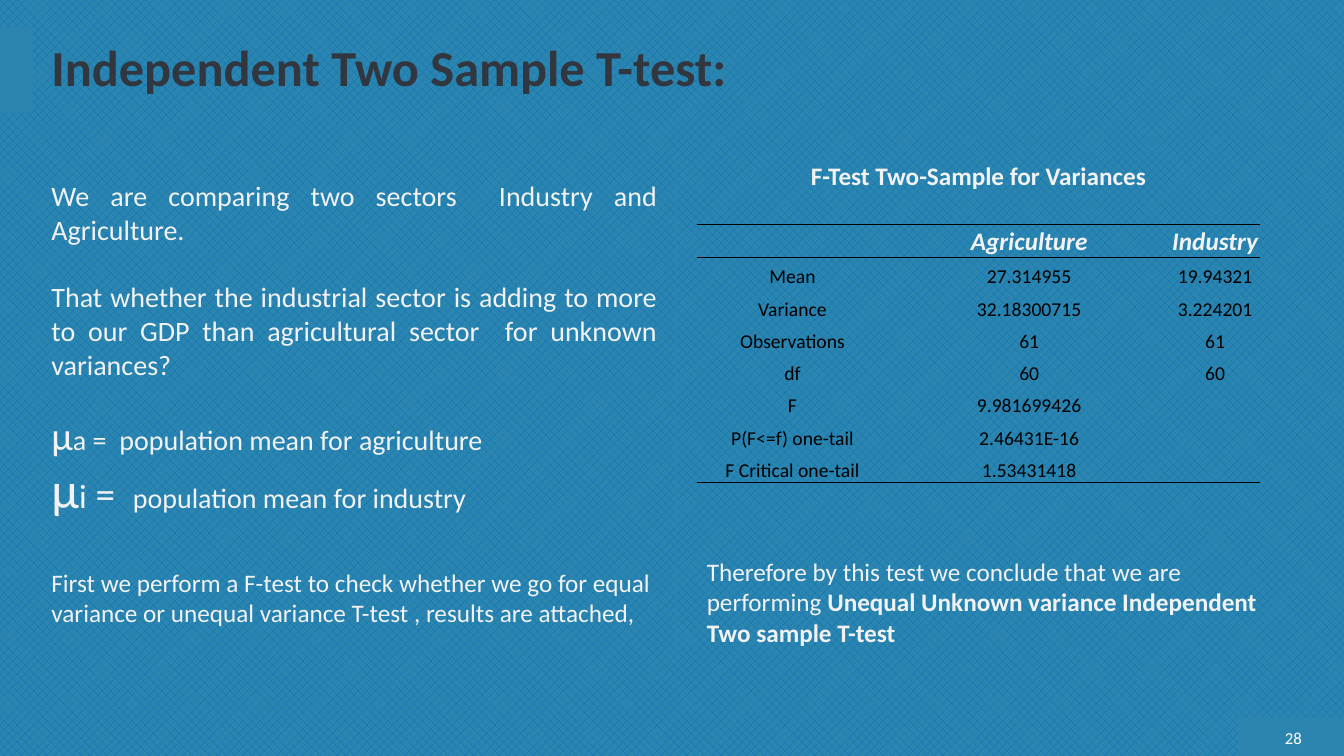
from dataclasses import dataclass

from lxml.etree import SubElement
from pptx import Presentation
from pptx.dml.color import RGBColor
from pptx.enum.dml import MSO_PATTERN
from pptx.enum.shapes import MSO_CONNECTOR, MSO_SHAPE
from pptx.enum.text import MSO_ANCHOR, MSO_AUTO_SIZE, PP_ALIGN
from pptx.oxml import parse_xml
from pptx.oxml.ns import nsdecls, qn
from pptx.util import Inches, Pt


@dataclass(frozen=True)
class Theme:
    face: str = "Calibri"
    panel: str = "2C85AE"
    weave: str = "0070C0"
    dark: str = "32363F"
    pale: str = "F2F2F2"
    white: str = "FFFFFF"
    black: str = "000000"
    title: int = 36
    lead: int = 20
    note: int = 18
    data: int = 14
    small: int = 12


THEME = Theme()
PLAIN_STYLE = "{2D5ABB26-0587-4C30-8999-92F81FD0307C}"

# Each paragraph: space before, alignment, runs of (text, size)
INTRO = [
    (0, PP_ALIGN.JUSTIFY, [("We are comparing two sectors  Industry and Agriculture.", THEME.lead)]),
    (24.4, PP_ALIGN.JUSTIFY, [("That whether the industrial sector is adding to more to our GDP "
                               "than agricultural sector  for unknown variances?", THEME.lead)]),
    (22, PP_ALIGN.LEFT, [("µ", 28), ("a =  population mean for agriculture", THEME.lead)]),
    (0, PP_ALIGN.LEFT, [("µ", 36), ("i", 24), (" =  ", 28),
                        ("population mean for industry", THEME.lead)]),
    (34.2, PP_ALIGN.LEFT, [("First we perform a F-test to check whether we go for equal variance "
                            "or unequal variance T-test , results are attached,", THEME.note)]),
]
ROWS = [
    ("F-Test Two-Sample for Variances", "", ""),
    ("", "", ""),
    ("", "Agriculture", "Industry"),
    ("Mean", "27.314955", "19.94321"),
    ("Variance", "32.18300715", "3.224201"),
    ("Observations", "61", "61"),
    ("df", "60", "60"),
    ("F", "9.981699426", ""),
    ("P(F<=f) one-tail", "2.46431E-16", ""),
    ("F Critical one-tail", "1.53431418", ""),
]
HEAD = 2
RULES = {1: 1, HEAD: 0.5, len(ROWS) - 1: 1}


def tint(code):
    return RGBColor.from_string(code)


def write(para, text, size=THEME.note, color=THEME.pale, bold=False, slant=False):
    run = para.add_run()
    run.text = text
    font = run.font
    font.name, font.size, font.bold, font.italic = THEME.face, Pt(size), bold, slant
    font.color.rgb = tint(color)


def place(shape, box):
    shape.left, shape.top, shape.width, shape.height = map(Inches, box)


def start(frame, anchor=MSO_ANCHOR.TOP):
    frame.word_wrap = True
    frame.auto_size = MSO_AUTO_SIZE.NONE
    frame.vertical_anchor = anchor
    return frame.paragraphs[0]


def flush(para, before=0, align=PP_ALIGN.LEFT):
    """Body paragraph with no bullet and no indent."""
    props = para._p.get_or_add_pPr()
    props.set("marL", "0")
    props.set("indent", "0")
    SubElement(props, qn("a:buNone"))
    para.space_before = Pt(before)
    para.alignment = align


def add_panel(slide, box):
    panel = slide.shapes.add_shape(MSO_SHAPE.RECTANGLE, *map(Inches, box))
    panel.shadow.inherit = False
    panel.fill.solid()
    panel.fill.fore_color.rgb = tint(THEME.panel)
    panel.line.fill.background()


def add_frame(slide, box):
    """Woven ground, edge panels and the centre rule."""
    left, top, width, height = box
    fill = slide.background.fill
    fill.patterned()
    fill.pattern = MSO_PATTERN.WEAVE
    fill.fore_color.rgb, fill.back_color.rgb = tint(THEME.weave), tint(THEME.panel)
    add_panel(slide, (left + width - 1.05, top + height - 0.38, 1.05, 0.38))
    add_panel(slide, (left, top + 0.28, 0.33, 0.83))
    mid = Inches(left + 6.7)
    rule = slide.shapes.add_connector(MSO_CONNECTOR.STRAIGHT, mid, Inches(top + 1.35),
                                      mid, Inches(top + 6.78))
    rule.line.color.rgb = tint(THEME.panel)
    rule.line.width = Pt(0.5)
    SubElement(rule._element.spPr, qn("a:effectLst"))


def add_title(slide, box):
    title = slide.shapes.title
    place(title, box)
    para = start(title.text_frame, MSO_ANCHOR.MIDDLE)
    para.alignment = PP_ALIGN.LEFT
    para.line_spacing = 0.9
    write(para, "Independent Two Sample T-test:", size=THEME.title, color=THEME.dark, bold=True)


def add_intro(slide, box):
    body = slide.placeholders[1]
    place(body, box)
    frame = body.text_frame
    para = start(frame)
    for i, (before, align, runs) in enumerate(INTRO):
        para = frame.add_paragraph() if i else para
        flush(para, before, align)
        for text, size in runs:
            write(para, text, size=size)


def add_rule(cell, width):
    line = parse_xml(f'<a:lnB {nsdecls("a")} w="{Pt(width)}"><a:solidFill>'
                     f'<a:srgbClr val="{THEME.black}"/></a:solidFill></a:lnB>')
    cell._tc.get_or_add_tcPr().insert(0, line)


def add_stats(slide, box):
    """Table of F-test results."""
    shape = slide.shapes.add_table(len(ROWS), 3, *map(Inches, box))
    table = shape.table
    table.first_row = table.horz_banding = False
    table._tbl.tblPr.find(qn("a:tableStyleId")).text = PLAIN_STYLE
    for col, share in zip(table.columns, (0.34, 0.5, 0.16)):
        col.width = Inches(box[2] * share)
    for r, row in enumerate(ROWS):
        table.rows[r].height = Inches(box[3] / len(ROWS))
        top = r <= HEAD
        look = dict(size=THEME.note if top else THEME.data,
                    color=THEME.pale if top else THEME.black, bold=top, slant=r == HEAD)
        for c, text in enumerate(row):
            cell = table.cell(r, c)
            cell.fill.background()
            cell.vertical_anchor = MSO_ANCHOR.BOTTOM
            cell.margin_left = cell.margin_right = cell.margin_top = Inches(0.01)
            cell.margin_bottom = 0
            para = cell.text_frame.paragraphs[0]
            para.alignment = PP_ALIGN.CENTER
            if text:
                write(para, text, **look)
            if r in RULES:
                add_rule(cell, RULES[r])
    table.cell(0, 0).merge(table.cell(0, 2))


def add_close(slide, box):
    body = slide.placeholders[2]
    place(body, box)
    para = start(body.text_frame)
    flush(para)
    write(para, "Therefore by this test we conclude that we are performing ")
    write(para, "Unequal Unknown variance Independent Two sample T-test", bold=True)


def add_number(slide, box):
    label = slide.shapes.add_textbox(*map(Inches, box))
    para = start(label.text_frame, MSO_ANCHOR.MIDDLE)
    para.alignment = PP_ALIGN.RIGHT
    write(para, "28", size=THEME.small, color=THEME.white)


def main():
    deck = Presentation()
    deck.slide_width, deck.slide_height = Inches(13.33), Inches(7.5)
    slide = deck.slides.add_slide(deck.slide_layouts[3])
    add_frame(slide, (0, 0, 13.33, 7.5))
    add_title(slide, (0.41, 0.28, 12.6, 0.83))
    add_intro(slide, (0.41, 1.72, 6.21, 4.88))
    add_stats(slide, (6.91, 1.59, 5.59, 3.2))
    add_close(slide, (6.91, 5.47, 5.69, 1.01))
    add_number(slide, (12.6, 7.2, 0.41, 0.23))
    deck.save("out.pptx")


if __name__ == "__main__":
    main()
